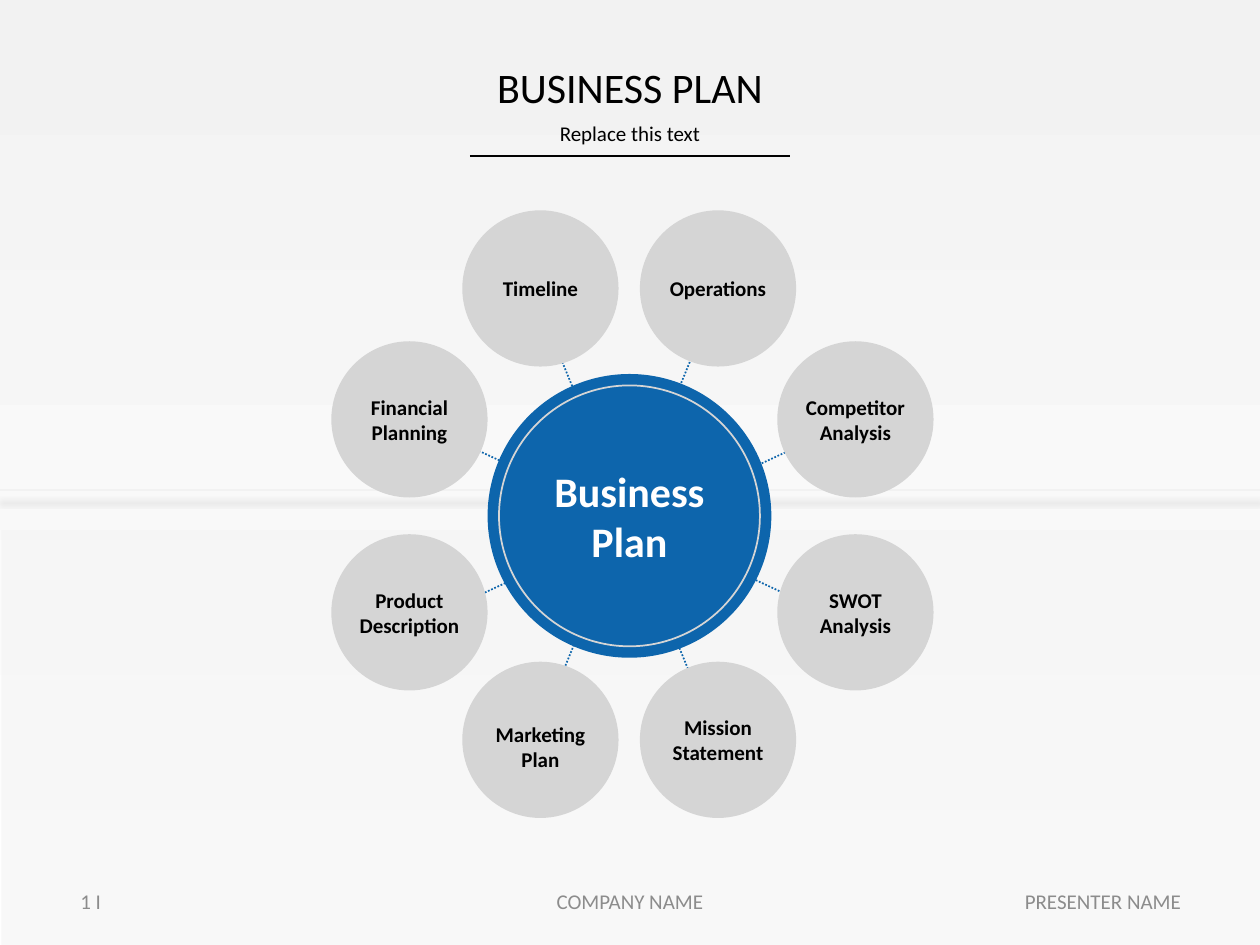
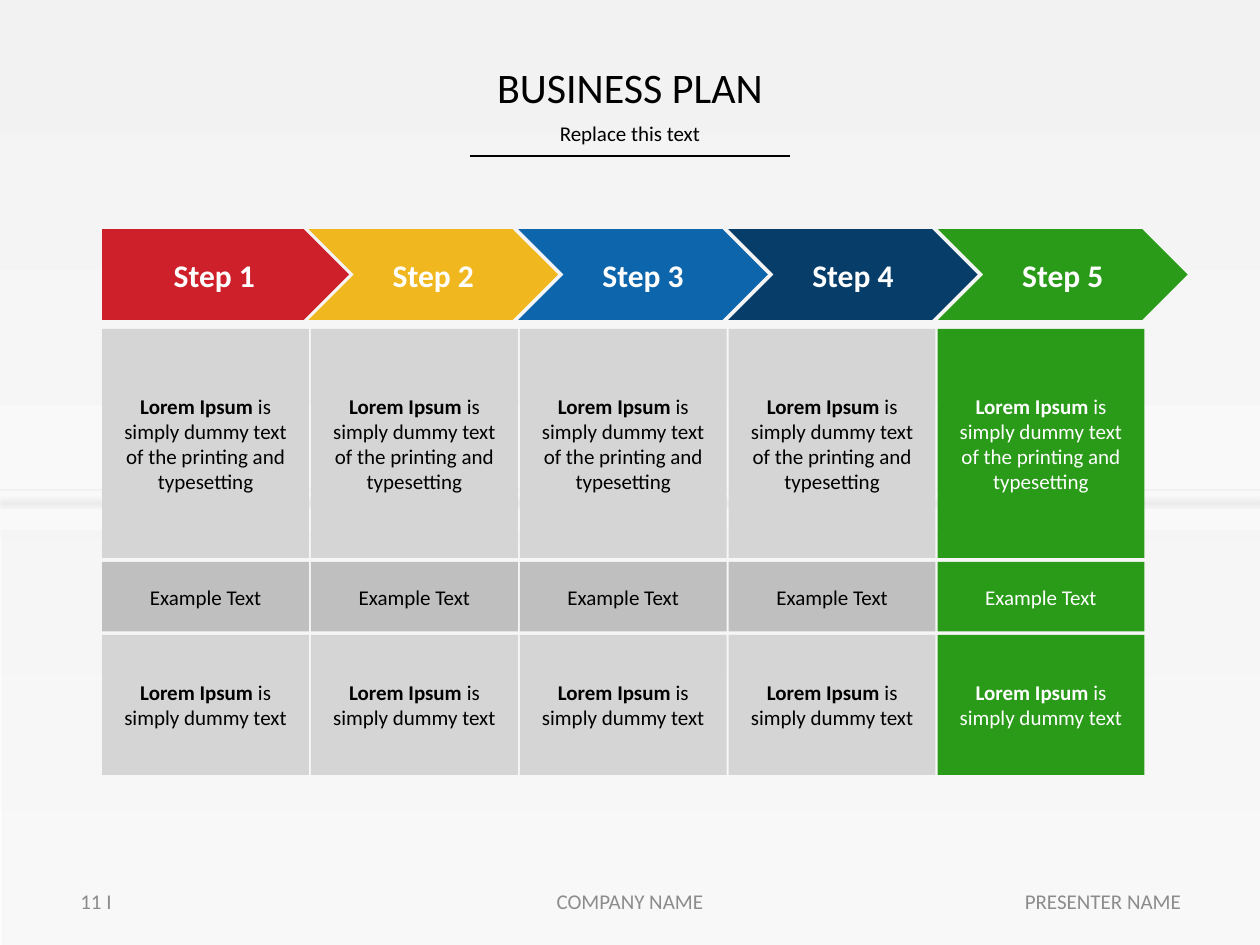
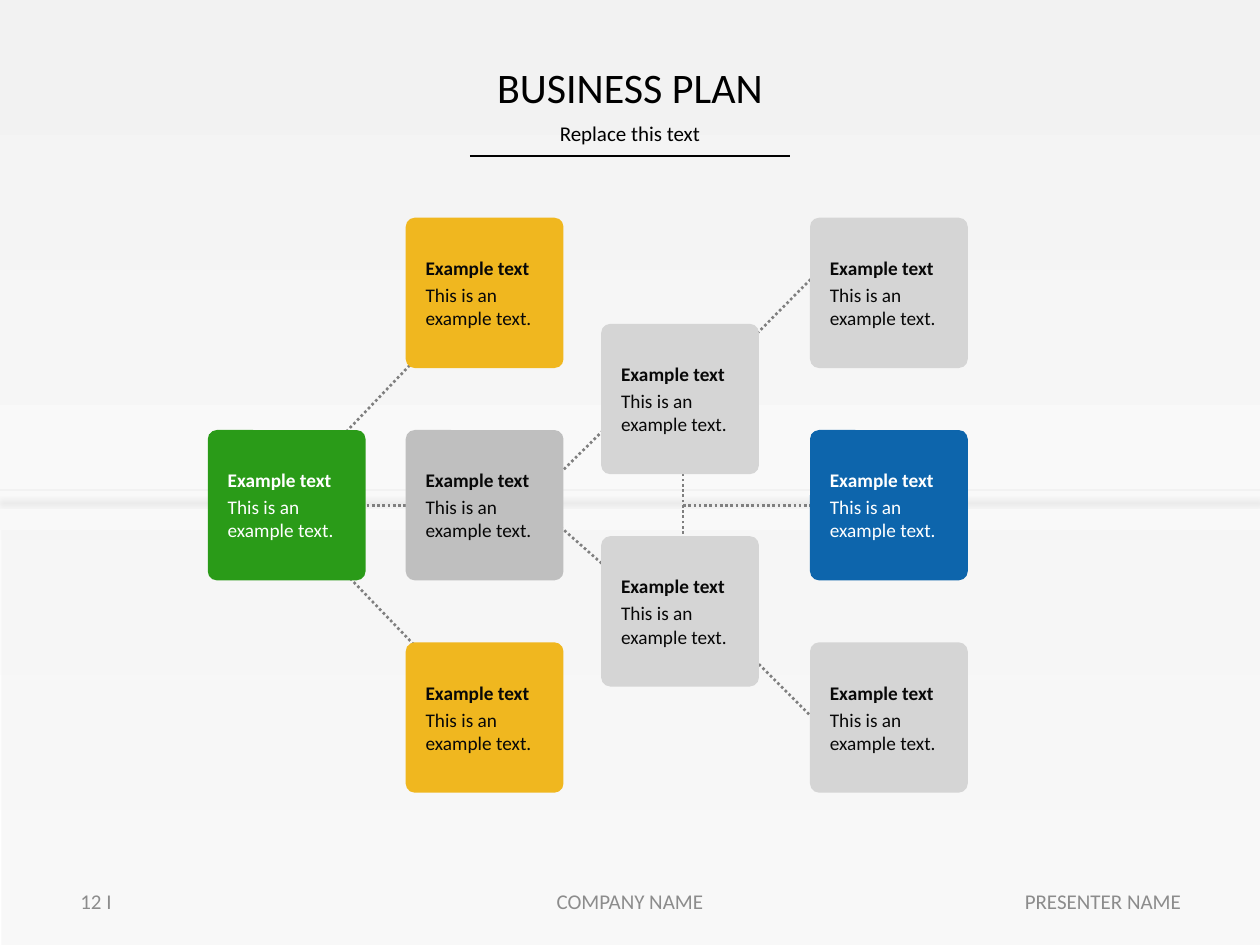
from dataclasses import dataclass
from typing import NamedTuple

from lxml.etree import SubElement
from pptx import Presentation
from pptx.dml.color import RGBColor
from pptx.enum.dml import MSO_LINE
from pptx.enum.shapes import MSO_CONNECTOR, MSO_SHAPE
from pptx.enum.text import MSO_ANCHOR, PP_ALIGN
from pptx.oxml.ns import qn
from pptx.util import Cm, Pt

FONT = "Calibri"
COLORS = {
    "black": "000000",
    "ink": "080808",
    "white": "FFFFFF",
    "footer": "8C8C8C",
    "rule": "7F7F7F",
    "mist": "F2F2F2",
    "light": "D5D5D5",
    "mid": "BFBFBF",
    "red": "CE202A",
    "yellow": "F0B71F",
    "blue": "0D65AC",
    "navy": "073D69",
    "green": "2A9B18",
}
WIDTH, HEIGHT = 25.4, 19.05


class Box(NamedTuple):
    x: float
    y: float
    w: float
    h: float


class Line(NamedTuple):
    x1: float
    y1: float
    x2: float
    y2: float


class Run(NamedTuple):
    text: str
    bold: bool = False


@dataclass
class Style:
    size: float = 12
    color: str = "black"
    align: PP_ALIGN = PP_ALIGN.CENTER
    anchor: MSO_ANCHOR = MSO_ANCHOR.MIDDLE
    before: float = 0
    spacing: float = 1


@dataclass
class Topic:
    text: str
    x: float
    y: float
    drop: float = 0


@dataclass
class Step:
    title: str
    color: str
    last: bool = False


@dataclass
class Card:
    col: int
    row: int
    color: str
    ink: str = "ink"


def rgb(name: str) -> RGBColor:
    return RGBColor.from_string(COLORS[name])


def write(sp, paragraphs: list[list[Run]], style: Style) -> None:
    tf = sp.text_frame
    tf.word_wrap = True
    tf.vertical_anchor = style.anchor
    for i, runs in enumerate(paragraphs):
        p = tf.add_paragraph() if i else tf.paragraphs[0]
        p.alignment = style.align
        p.space_before = Pt(style.before)
        p.line_spacing = style.spacing
        for run in runs:
            r = p.add_run()
            r.text = run.text
            r.font.name = FONT
            r.font.size = Pt(style.size)
            r.font.bold = run.bold
            r.font.color.rgb = rgb(style.color)


def add_text(s, box: Box, paragraphs: list[list[Run]], style: Style) -> None:
    write(s.shapes.add_textbox(*map(Cm, box)), paragraphs, style)


def add_shape(s, kind: MSO_SHAPE, box: Box, fill: str | None = None, line: str | None = None):
    sp = s.shapes.add_shape(kind, *map(Cm, box))
    sp.shadow.inherit = False
    if fill:
        sp.fill.solid()
        sp.fill.fore_color.rgb = rgb(fill)
    else:
        sp.fill.background()
    if line:
        sp.line.color.rgb = rgb(line)
        sp.line.width = Pt(1)
    else:
        sp.line.fill.background()
    return sp


def add_line(s, ends: Line, color: str, width: float = 1, dotted: bool = False):
    cx = s.shapes.add_connector(MSO_CONNECTOR.STRAIGHT, *map(Cm, ends))
    cx.line.color.rgb = rgb(color)
    cx.line.width = Pt(width)
    if dotted:
        cx.line.dash_style = MSO_LINE.ROUND_DOT
    return SubElement(cx._element.spPr, qn("a:effectLst"))


def draw_backdrop(s) -> None:
    wall = add_shape(s, MSO_SHAPE.RECTANGLE, Box(0, 0, WIDTH, HEIGHT), "mist")
    wall.fill.gradient()
    wall.fill.gradient_angle = 270
    for stop, name in zip(wall.fill.gradient_stops, ("mist", "white")):
        stop.color.rgb = rgb(name)
    wall.fill.gradient_stops[0].position = 0
    wall.fill.gradient_stops[1].position = 1

    floor = add_shape(s, MSO_SHAPE.RECTANGLE, Box(0.03, 10.69, WIDTH - 0.03, HEIGHT - 10.69), "mist")
    tint = floor._element.spPr.find(qn("a:solidFill"))[0]
    SubElement(tint, qn("a:alpha"), val="49000")

    effects = add_line(s, Line(0, 9.88, WIDTH, 9.88), "mist")
    shadow = SubElement(effects, qn("a:outerShdw"), blurRad=str(Pt(3.1)), dist=str(Pt(6.8)),
                        dir="5400000", algn="t", rotWithShape="0")
    shade = SubElement(shadow, qn("a:srgbClr"), val=COLORS["black"])
    SubElement(shade, qn("a:alpha"), val="16000")


def new_slide(prs, number: int):
    s = prs.slides.add_slide(prs.slide_layouts[6])
    draw_backdrop(s)
    add_line(s, Line(9.47, 3.15, 15.93, 3.15), "black")
    add_text(s, Box(1.75, 1.12, 21.9, 1.27), [[Run("BUSINESS PLAN")]], Style(24))
    add_text(s, Box(1.75, 2.41, 21.9, 0.69), [[Run("Replace this text")]],
             Style(anchor=MSO_ANCHOR.TOP, before=10, spacing=0.8))
    footers = (
        (1.37, 5.72, f"{number} I", PP_ALIGN.LEFT),
        (8.41, 8.58, "COMPANY NAME", PP_ALIGN.CENTER),
        (18.34, 5.72, "PRESENTER NAME", PP_ALIGN.RIGHT),
    )
    for x, w, text, align in footers:
        add_text(s, Box(x, 17.65, w, 1.02), [[Run(text)]], Style(color="footer", align=align))
    return s


def draw_wheel(s) -> None:
    for x1, y1, x2, y2 in (Line(11.07, 6.65, 14.17, 14.22), Line(9.4, 8.97, 16.15, 12.12)):
        add_line(s, Line(x1, y1, x2, y2), "blue", dotted=True)
        add_line(s, Line(x2, y1, x1, y2), "blue", dotted=True)

    size, label_w, label_h = 3.15, 2.72, 1.27
    topics = (
        Topic("Timeline", 9.32, 4.24),
        Topic("Operations", 12.9, 4.24),
        Topic("Competitor Analysis", 15.67, 6.88),
        Topic("SWOT Analysis", 15.67, 10.77),
        Topic("Mission Statement", 12.9, 13.34),
        Topic("Marketing Plan", 9.32, 13.34, 0.13),
        Topic("Product Description", 6.68, 10.77),
        Topic("Financial Planning", 6.68, 6.88),
    )
    for t in topics:
        add_shape(s, MSO_SHAPE.OVAL, Box(t.x, t.y, size, size), "light")
        label = Box(t.x + (size - label_w) / 2, t.y + (size - label_h) / 2 + t.drop, label_w, label_h)
        add_text(s, label, [[Run(t.text, True)]], Style())

    x, y, hub, gap = 9.83, 7.54, 5.72, 0.23
    sp = add_shape(s, MSO_SHAPE.OVAL, Box(x, y, hub, hub), "blue")
    write(sp, [[Run("Business Plan", True)]], Style(24, "white"))
    ring = hub - 2 * gap
    add_shape(s, MSO_SHAPE.OVAL, Box(x + gap, y + gap, ring, ring), line="light")


def draw_steps(s) -> None:
    steps = (
        Step("Step 1", "red"),
        Step("Step 2", "yellow"),
        Step("Step 3", "blue"),
        Step("Step 4", "navy"),
        Step("Step 5", "green", True),
    )
    lead = Run("Lorem Ipsum ", True)
    rows = (
        (6.63, 4.62, "light", [lead, Run("is simply dummy text of the printing and typesetting")]),
        (11.33, 1.4, "mid", [Run("Example Text")]),
        (12.8, 2.82, "light", [lead, Run("is simply dummy text")]),
    )
    left = 2.06
    for i, step in enumerate(steps):
        if i:
            kind, box = MSO_SHAPE.CHEVRON, Box(1.99 + 4.23 * i, 4.62, 5.03, 1.83)
        else:
            kind, box = MSO_SHAPE.PENTAGON, Box(left, 4.62, 4.98, 1.83)
        sp = add_shape(s, kind, box, step.color)
        write(sp, [[Run(step.title, True)]], Style(18, "white"))
        for y, h, shade, runs in rows:
            fill = step.color if step.last else shade
            cell = add_shape(s, MSO_SHAPE.RECTANGLE, Box(left + 4.21 * i, y, 4.17, h), fill)
            write(cell, [runs], Style(color="white" if step.last else "black"))


def draw_network(s) -> None:
    links = (
        Line(13.77, 8.23, 16.46, 5.51),
        Line(16.46, 14.55, 13.77, 11.86),
        Line(13.77, 12.14, 13.77, 8.18),
        Line(5.59, 10.16, 8.79, 6.81),
        Line(5.59, 10.13, 8.79, 13.46),
        Line(10.69, 10.13, 13.41, 7.44),
        Line(10.74, 10.13, 13.74, 12.78),
        Line(13.77, 10.19, 17.73, 10.19),
        Line(5.59, 10.19, 9.55, 10.19),
    )
    for link in links:
        add_line(s, link, "rule", 1.5, dotted=True)

    columns = (4.19, 8.18, 12.12, 16.33)
    cards = (
        Card(2, 1, "light"),
        Card(2, 3, "light"),
        Card(1, 0, "yellow"),
        Card(3, 0, "light"),
        Card(0, 2, "green", "white"),
        Card(1, 2, "mid"),
        Card(3, 2, "blue", "white"),
        Card(1, 4, "yellow"),
        Card(3, 4, "light"),
    )
    for card in cards:
        x, y = columns[card.col], 4.39 + 2.14 * card.row
        sp = add_shape(s, MSO_SHAPE.ROUNDED_RECTANGLE, Box(x, y, 3.18, 3.03), card.color)
        sp.adjustments[0] = 0.06
        add_text(s, Box(x + 0.15, y + 0.64, 2.82, 1.75),
                 [[Run("Example text", True)], [Run("This is an example text.")]],
                 Style(11, card.ink, PP_ALIGN.LEFT, before=2.2))


def main() -> None:
    prs = Presentation()
    prs.slide_width, prs.slide_height = Cm(WIDTH), Cm(HEIGHT)
    for number, draw in ((1, draw_wheel), (11, draw_steps), (12, draw_network)):
        draw(new_slide(prs, number))
    prs.save("out.pptx")


main()
